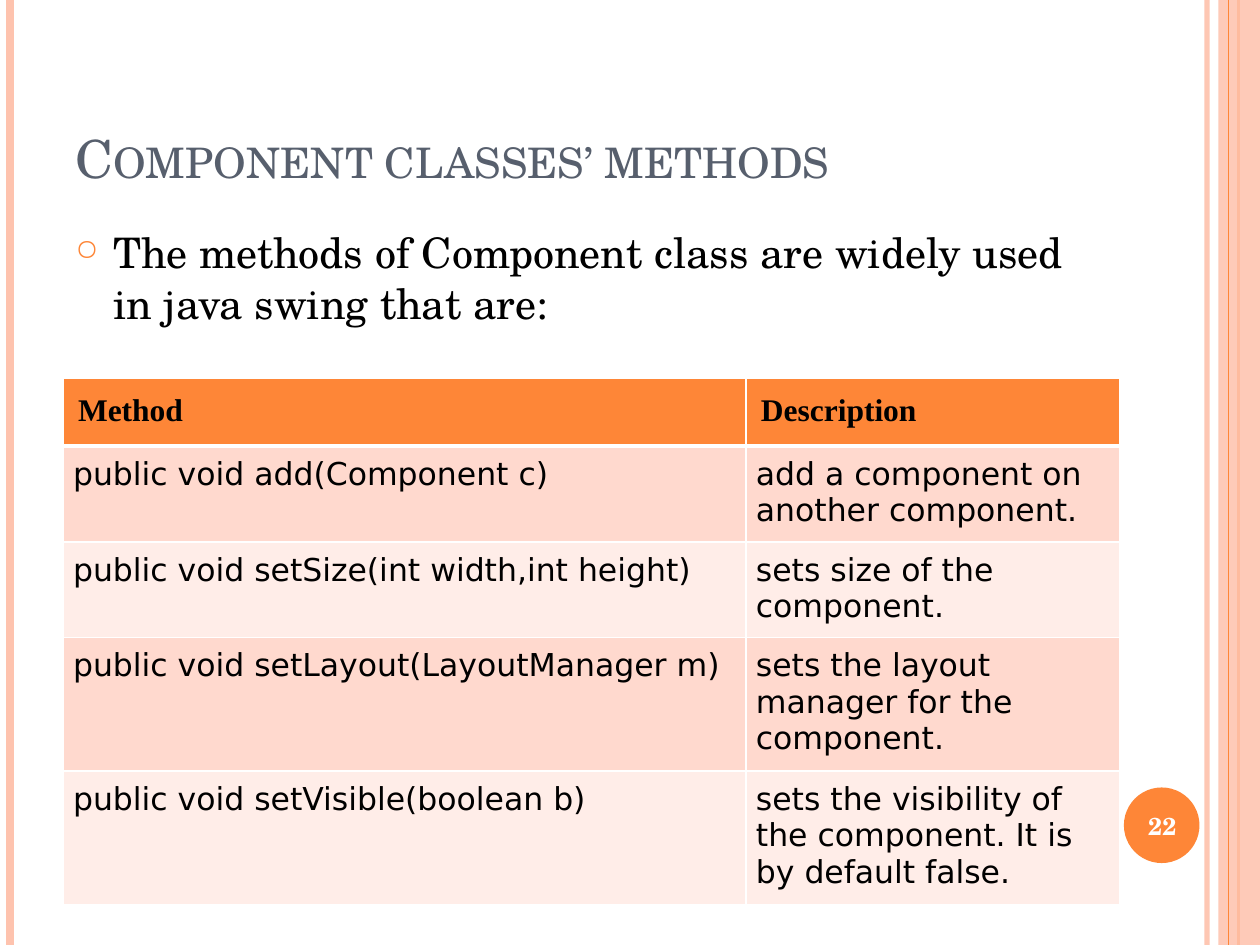
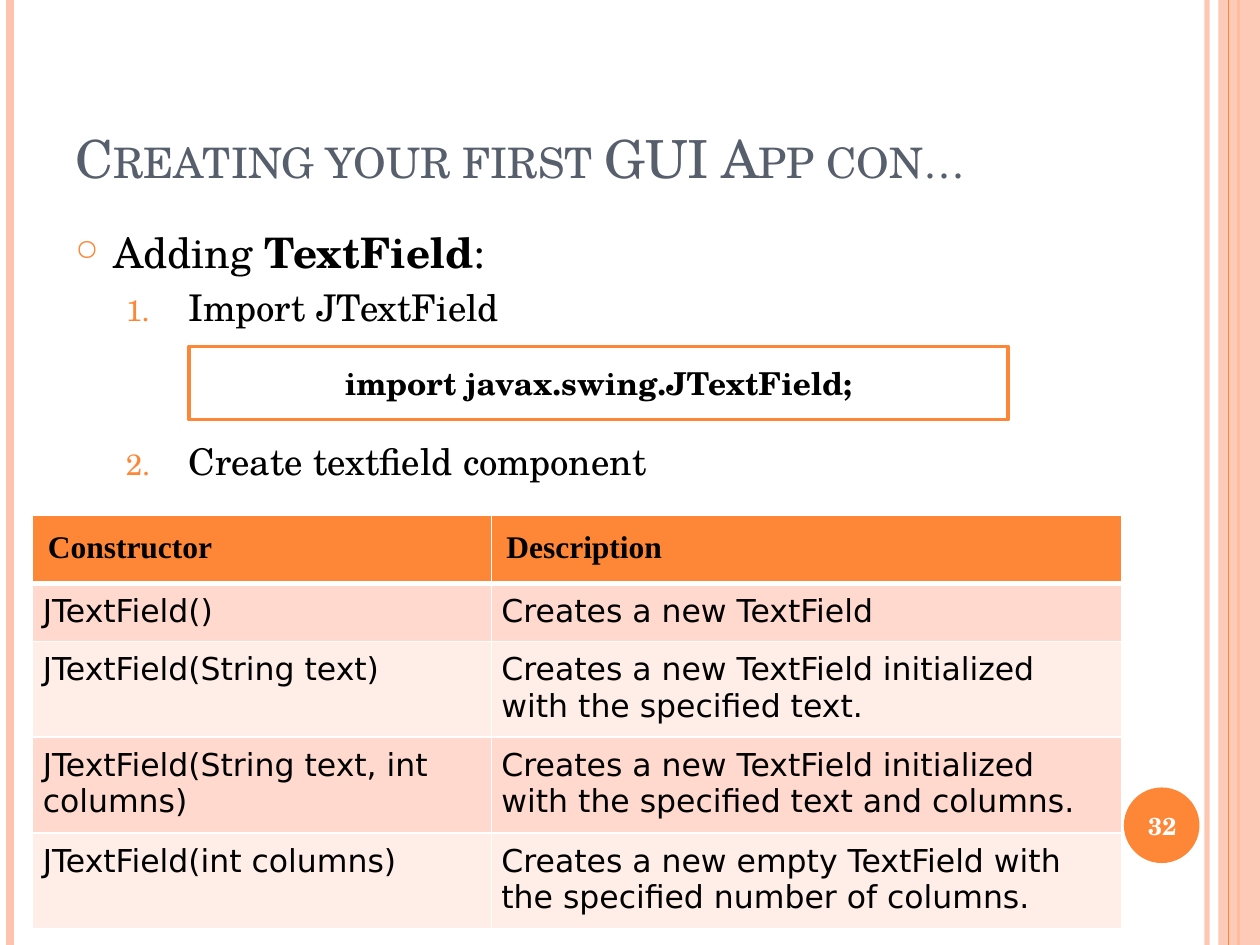
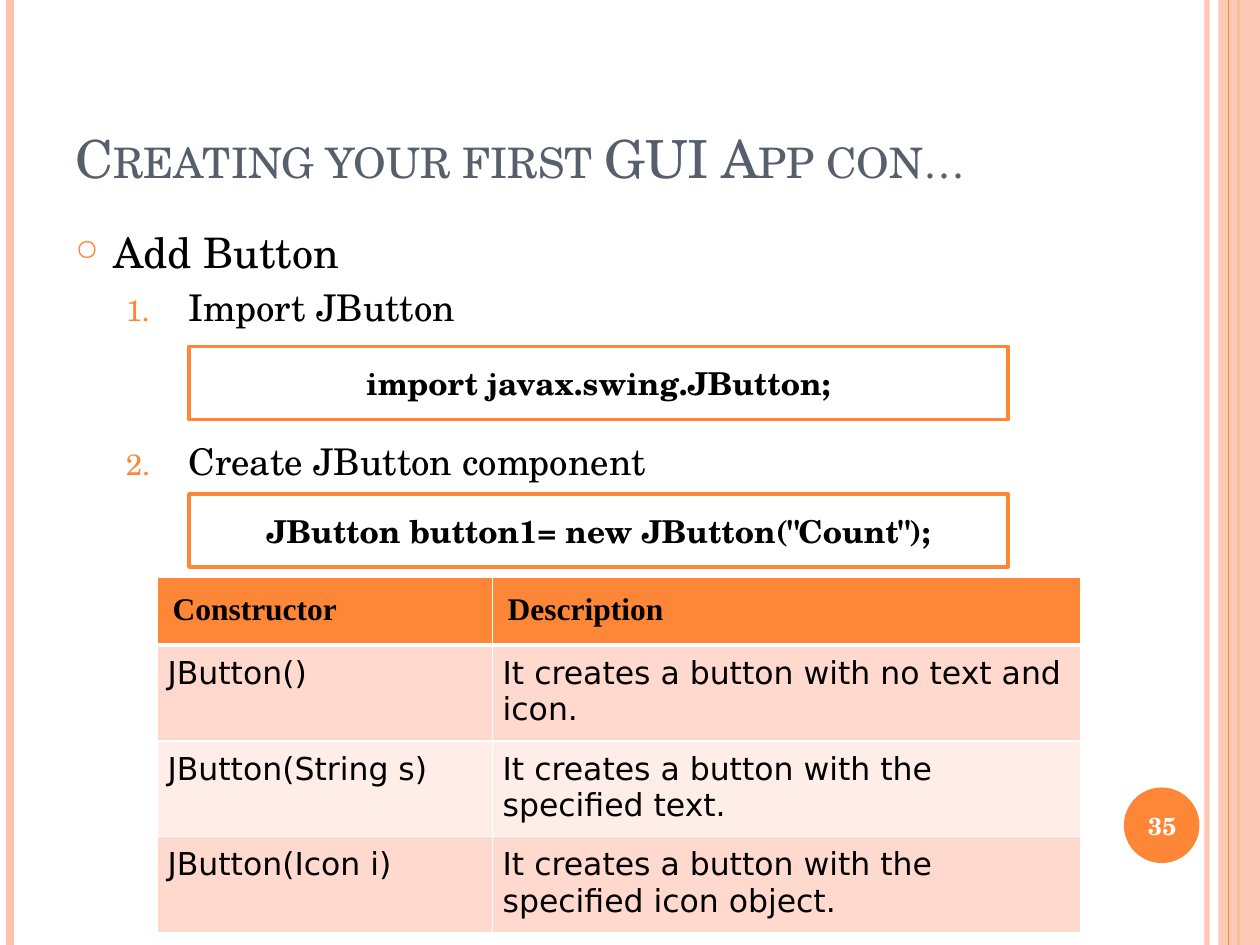
from dataclasses import dataclass

from lxml import etree
from pptx import Presentation
from pptx import slide as sl
from pptx import table as tb
from pptx import util as u
from pptx.dml import color, fill
from pptx.enum import shapes, text
from pptx.oxml import ns
from pptx.text import text as tx

COLORS = {
    "accent": "FE8637",
    "pale": "FEC3AE",
    "title": "575F6D",
    "text": "000000",
    "white": "FFFFFF",
    "odd_row": "FFD9CE",
    "even_row": "FFEDE8",
}
SERIF = "TeX Gyre Schola"
HEADER_FONT = "Times New Roman"
CELL_FONT = "DejaVu Sans"
SLIDE_HEIGHT = 7.5
ROW_HEIGHT = 0.41
STEP_SIZE = 21
STEP_SPACE = STEP_SIZE * 0.2
STEP_LINE = STEP_SIZE * 1.2


@dataclass(frozen=True)
class Box:
    left: float
    top: float
    width: float
    height: float

    def lengths(self) -> list[u.Length]:
        return [u.Inches(v) for v in (self.left, self.top, self.width, self.height)]


@dataclass(frozen=True)
class Stripe:
    x: float
    color: str
    width: float
    alpha: int = 100


@dataclass(frozen=True)
class Run:
    text: str
    bold: bool = False


@dataclass(frozen=True)
class CodeBox:
    top: float
    code: str


@dataclass(frozen=True)
class MethodTable:
    left: float
    top: float
    widths: tuple[float, float]
    rows: tuple[tuple[str, str], ...]


@dataclass(frozen=True)
class Page:
    number: int
    title: str
    lead: tuple[Run, ...]
    table: MethodTable
    steps: tuple[str, ...] = ()
    code_boxes: tuple[CodeBox, ...] = ()


LEFT_STRIPES = (
    Stripe(9.58, "pale", 3, 93),
    Stripe(0.08, "pale", 4.5),
    Stripe(9.83, "accent", 1.5),
)
INNER_STRIPE = Stripe(9.75, "accent", 0.75)
BAND = Box(9.67, 0, 0.33, SLIDE_HEIGHT)
BADGE = Box(8.92, 6.25, 0.6, 0.6)
NUMBER = Box(8.89, 6.27, 0.67, 0.57)
TITLE = Box(0.5, 0.3, 8.17, 1.25)
BODY = Box(0.5, 1.75, 8.17, 5.33)

APP_TITLE = "Creating your first GUI App con…"
PAGES = (
    Page(
        22,
        "Component classes’ methods",
        (Run("The methods of Component class are widely used in java swing that are:"),),
        MethodTable(0.5, 3, (5.42, 2.97), (
            ("Method", "Description"),
            ("public void add(Component c)", "add a component on another component."),
            ("public void setSize(int width,int height)", "sets size of the component."),
            ("public void setLayout(LayoutManager m)",
             "sets the layout manager for the component."),
            ("public void setVisible(boolean b)",
             "sets the visibility of the component. It is by default false."),
        )),
    ),
    Page(
        32,
        APP_TITLE,
        (Run("Adding "), Run("TextField", True), Run(":")),
        MethodTable(0.26, 4.09, (3.64, 5), (
            ("Constructor", "Description"),
            ("JTextField()", "Creates a new TextField"),
            ("JTextField(String text)",
             "Creates a new TextField initialized with the specified text."),
            ("JTextField(String text, int columns)",
             "Creates a new TextField initialized with the specified text and columns."),
            ("JTextField(int columns)",
             "Creates a new empty TextField with the specified number of columns."),
        )),
        ("Import JTextField", "Create textfield component"),
        (CodeBox(2.75, "import javax.swing.JTextField;"),),
    ),
    Page(
        35,
        APP_TITLE,
        (Run("Add Button"),),
        MethodTable(1.25, 4.58, (2.66, 4.67), (
            ("Constructor", "Description"),
            ("JButton()", "It creates a button with no text and icon."),
            ("JButton(String s)", "It creates a button with the specified text."),
            ("JButton(Icon i)", "It creates a button with the specified icon object."),
        )),
        ("Import JButton", "Create JButton component"),
        (
            CodeBox(3.92, 'JButton button1= new JButton("Count");'),
            CodeBox(2.75, "import javax.swing.JButton;"),
        ),
    ),
)


def rgb(name: str) -> color.RGBColor:
    return color.RGBColor.from_string(COLORS[name])


def sub(parent: etree._Element, tag: str, **attrs: str) -> etree._Element:
    return etree.SubElement(parent, ns.qn(tag), attrs)


def paint(target: fill.FillFormat, name: str, alpha: int = 100) -> None:
    target.solid()
    target.fore_color.rgb = rgb(name)
    if alpha < 100:
        clr = target._xPr.find(f"{ns.qn('a:solidFill')}/{ns.qn('a:srgbClr')}")
        sub(clr, "a:alpha", val=str(alpha * 1000))


def add_run(p: tx._Paragraph, words: str, size: float, name: str = "text",
            bold: bool = False, font: str = SERIF) -> tx._Run:
    r = p.add_run()
    r.text = words
    r.font.size = u.Pt(size)
    r.font.name = font
    r.font.bold = bold
    r.font.color.rgb = rgb(name)
    return r


def add_text_box(s: sl.Slide, box: Box, anchor: text.MSO_ANCHOR) -> tx.TextFrame:
    tf = s.shapes.add_textbox(*box.lengths()).text_frame
    tf.word_wrap = True
    tf.vertical_anchor = anchor
    return tf


def add_stripe(s: sl.Slide, stripe: Stripe) -> None:
    x = u.Inches(stripe.x)
    line = s.shapes.add_connector(
        shapes.MSO_CONNECTOR.STRAIGHT, x, 0, x, u.Inches(SLIDE_HEIGHT))
    line.line.width = u.Pt(stripe.width)
    paint(line.line.fill, stripe.color, stripe.alpha)
    sub(line._element.spPr, "a:effectLst")


def add_plain_shape(s: sl.Slide, kind: shapes.MSO_SHAPE, box: Box, name: str,
                    alpha: int = 100) -> None:
    sp = s.shapes.add_shape(kind, *box.lengths())
    sp.shadow.inherit = False
    paint(sp.fill, name, alpha)
    sp.line.fill.background()


def add_frame(s: sl.Slide, number: int) -> None:
    for stripe in LEFT_STRIPES:
        add_stripe(s, stripe)
    add_plain_shape(s, shapes.MSO_SHAPE.RECTANGLE, BAND, "pale", 87)
    add_stripe(s, INNER_STRIPE)
    add_plain_shape(s, shapes.MSO_SHAPE.OVAL, BADGE, "accent")
    p = add_text_box(s, NUMBER, text.MSO_ANCHOR.MIDDLE).paragraphs[0]
    p.alignment = text.PP_ALIGN.CENTER
    add_run(p, str(number), 14, "white", True)


def add_title(s: sl.Slide, title: str) -> None:
    tf = add_text_box(s, TITLE, text.MSO_ANCHOR.BOTTOM)
    r = add_run(tf.paragraphs[0], title, 30, "title")
    r.font._element.set("cap", "small")


def set_bullet(p: tx._Paragraph, left: float, hanging: float, percent: int,
               tag: str, **attrs: str) -> None:
    pPr = p._p.get_or_add_pPr()
    pPr.set("marL", str(u.Inches(left)))
    pPr.set("indent", str(-u.Inches(hanging)))
    sub(sub(pPr, "a:buClr"), "a:srgbClr", val=COLORS["accent"])
    sub(pPr, "a:buSzPct", val=str(percent * 1000))
    sub(pPr, tag, **attrs)


def add_body(s: sl.Slide, lead: tuple[Run, ...], steps: tuple[str, ...]) -> None:
    tf = add_text_box(s, BODY, text.MSO_ANCHOR.TOP)
    p = tf.paragraphs[0]
    p.space_before = u.Pt(6)
    set_bullet(p, 0.3, 0.3, 70, "a:buChar", char="○")
    for run in lead:
        add_run(p, run.text, 24, bold=run.bold)
    for i, step in enumerate(steps):
        p = tf.add_paragraph()
        p.level = 1
        code_gap = 2 * (STEP_LINE + STEP_SPACE) if i else 0
        p.space_before = u.Pt(STEP_SPACE + code_gap)
        set_bullet(p, 0.9, 0.5, 80, "a:buAutoNum", type="arabicPeriod",
                   startAt=str(i + 1))
        add_run(p, step, STEP_SIZE)


def set_borders(cell: tb._Cell, top: float, bottom: float) -> None:
    tcPr = cell._tc.get_or_add_tcPr()
    for side, width in (("L", 1), ("R", 1), ("T", top), ("B", bottom)):
        ln = sub(tcPr, f"a:ln{side}", w=str(u.Pt(width)))
        sub(sub(ln, "a:solidFill"), "a:srgbClr", val=COLORS["white"])


def fill_cell(cell: tb._Cell, words: str, row: int) -> None:
    header = row == 0
    inset = u.Inches(0.12 if header else 0.08)
    cell.margin_left = cell.margin_right = inset
    cell.margin_top = cell.margin_bottom = inset
    set_borders(cell, 3 if row == 1 else 1, 3 if header else 1)
    paint(cell.fill, "accent" if header else "odd_row" if row % 2 else "even_row")
    add_run(cell.text_frame.paragraphs[0], words, 18, bold=header,
            font=HEADER_FONT if header else CELL_FONT)


def add_method_table(s: sl.Slide, spec_table: MethodTable) -> None:
    count = len(spec_table.rows)
    box = Box(spec_table.left, spec_table.top, sum(spec_table.widths), count * ROW_HEIGHT)
    table = s.shapes.add_table(count, len(spec_table.widths), *box.lengths()).table
    for column, width in zip(table.columns, spec_table.widths):
        column.width = u.Inches(width)
    for i, row in enumerate(spec_table.rows):
        table.rows[i].height = u.Inches(ROW_HEIGHT)
        for j, words in enumerate(row):
            fill_cell(table.cell(i, j), words, i)


def add_code_box(s: sl.Slide, code_box: CodeBox) -> None:
    box = Box(1.5, code_box.top, 6.5, 0.58)
    sp = s.shapes.add_shape(shapes.MSO_SHAPE.RECTANGLE, *box.lengths())
    sp.shadow.inherit = False
    paint(sp.fill, "white")
    paint(sp.line.fill, "accent")
    sp.line.width = u.Pt(2)
    tf = sp.text_frame
    tf.word_wrap = True
    tf.vertical_anchor = text.MSO_ANCHOR.MIDDLE
    p = tf.paragraphs[0]
    p.alignment = text.PP_ALIGN.CENTER
    add_run(p, code_box.code, 18, bold=True)


def main() -> None:
    prs = Presentation()
    prs.slide_width = u.Inches(10)
    prs.slide_height = u.Inches(SLIDE_HEIGHT)
    for page in PAGES:
        s = prs.slides.add_slide(prs.slide_layouts[6])
        add_frame(s, page.number)
        add_title(s, page.title)
        add_body(s, page.lead, page.steps)
        add_method_table(s, page.table)
        for code_box in page.code_boxes:
            add_code_box(s, code_box)
    prs.save("out.pptx")


if __name__ == "__main__":
    main()
